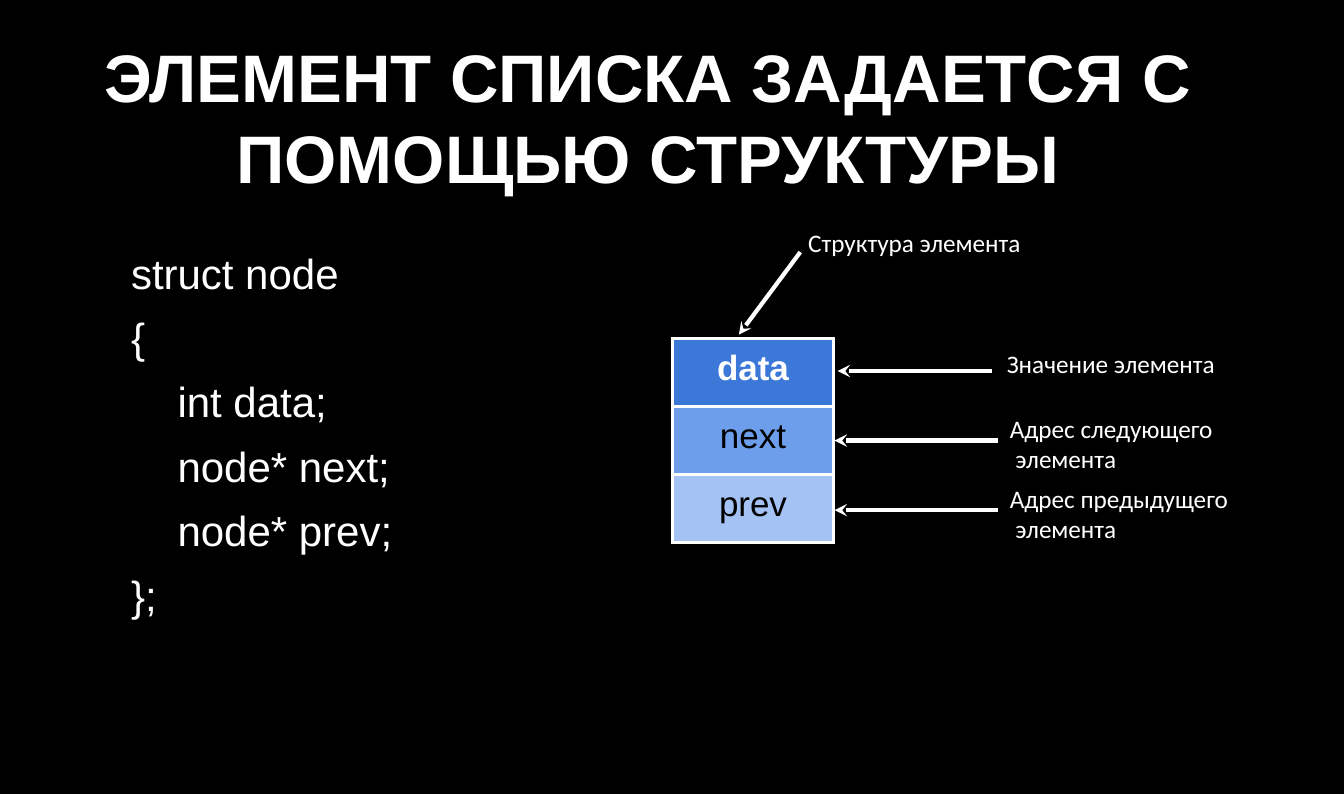
from lxml.etree import SubElement
from pptx import Presentation
from pptx.dml.color import RGBColor
from pptx.enum.shapes import MSO_CONNECTOR
from pptx.enum.text import MSO_ANCHOR, MSO_AUTO_SIZE, PP_ALIGN
from pptx.oxml.ns import qn
from pptx.util import Inches, Pt

WHITE = "FFFFFF"
BLACK = "000000"
TITLE = "ЭЛЕМЕНТ СПИСКА ЗАДАЕТСЯ С ПОМОЩЬЮ СТРУКТУРЫ"
STRUCT_CODE = [
    "struct node",
    "{",
    "    int data;",
    "    node* next;",
    "    node* prev;",
    "};",
]
# field, fill, text colour, bold
FIELDS = [
    ("data", "3C78D8", WHITE, True),
    ("next", "6D9EEB", BLACK, False),
    ("prev", "A4C2F4", BLACK, False),
]
# label lines, label box and arrow ends, measured from the table's top right corner
FIELD_NOTES = [
    (["Значение элемента"], (1.62, 0.05, 2.29, 0.42), 1.57, 0.04),
    (["Адрес следующего", " элемента"], (1.65, 0.69, 2.94, 0.74), 1.63, 0.01),
    (["Адрес предыдущего", " элемента"], (1.65, 1.38, 2.94, 0.74), 1.63, 0.01),
]


def color(hex_string):
    return RGBColor.from_string(hex_string)


def inches(values):
    return [Inches(value) for value in values]


def place(shape, box):
    shape.left, shape.top, shape.width, shape.height = inches(box)


def prepare_frame(frame):
    """Make a text frame wrap, keep its size and start at the top."""
    frame.word_wrap = True
    frame.auto_size = MSO_AUTO_SIZE.NONE
    frame.vertical_anchor = MSO_ANCHOR.TOP


def write_text(frame, lines, size, font="Arial", fill=WHITE, bold=False,
               align=PP_ALIGN.LEFT, gap=0, plain_list=False):
    """Write one paragraph per line; gap is the space between them in points."""
    for index, line in enumerate(lines):
        paragraph = frame.add_paragraph() if index else frame.paragraphs[0]
        paragraph.alignment = align
        paragraph.space_before = Pt(gap if index else 0)
        if plain_list:
            properties = paragraph._p.get_or_add_pPr()
            properties.set("marL", "0")
            properties.set("indent", "0")
            SubElement(properties, qn("a:buNone"))
        run = paragraph.add_run()
        run.text = line
        run.font.name = font
        run.font.size = Pt(size)
        run.font.bold = bold
        run.font.color.rgb = color(fill)


def add_label(slide, lines, box):
    label = slide.shapes.add_textbox(*inches(box))
    prepare_frame(label.text_frame)
    write_text(label.text_frame, lines, 18, font="Calibri")


def add_arrow(slide, start, end):
    arrow = slide.shapes.add_connector(
        MSO_CONNECTOR.STRAIGHT, *inches((*start, *end)))
    arrow.line.color.rgb = color(WHITE)
    arrow.line.width = Pt(3)
    SubElement(arrow.line._get_or_add_ln(), qn("a:tailEnd"), type="stealth")
    SubElement(arrow._element.spPr, qn("a:effectLst"))


def format_cell(cell, fill):
    cell.margin_left = cell.margin_right = Inches(0.1)
    cell.margin_top = cell.margin_bottom = Inches(0.1)
    properties = cell._tc.get_or_add_tcPr()
    for side in ("lnL", "lnR", "lnT", "lnB"):
        border = SubElement(properties, qn(f"a:{side}"), w=str(Pt(2.25)))
        solid = SubElement(border, qn("a:solidFill"))
        SubElement(solid, qn("a:srgbClr"), val=WHITE)
    cell.fill.solid()
    cell.fill.fore_color.rgb = color(fill)


def add_title(slide, box):
    title = slide.shapes.title
    place(title, box)
    prepare_frame(title.text_frame)
    write_text(title.text_frame, [TITLE], 48, bold=True, align=PP_ALIGN.CENTER)


def add_code(slide, box):
    body = slide.placeholders[1]
    place(body, box)
    prepare_frame(body.text_frame)
    write_text(body.text_frame, STRUCT_CODE, 30, gap=10, plain_list=True)


def add_node_table(slide, box):
    table = slide.shapes.add_table(len(FIELDS), 1, *inches(box)).table
    table.first_row = table.horz_banding = False
    for row, (name, fill, text_color, bold) in enumerate(FIELDS):
        cell = table.cell(row, 0)
        format_cell(cell, fill)
        write_text(cell.text_frame, [name], 25, fill=text_color, bold=bold,
                   align=PP_ALIGN.CENTER)


def add_node_diagram(slide, box):
    """Place the node table in the box, with labels and arrows around it."""
    left, top, width, height = box
    right = left + width
    add_node_table(slide, box)
    add_label(slide, ["Структура элемента"], (left + 1.25, top - 1.15, 2.33, 0.42))
    add_arrow(slide, (left + 1.27, top - 0.86), (left + 0.66, top - 0.04))
    for index, (lines, label_box, start, end) in enumerate(FIELD_NOTES):
        label_left, label_top, label_width, label_height = label_box
        add_label(slide, lines,
                  (right + label_left, top + label_top, label_width, label_height))
        y = top + 0.32 + 0.69 * index
        add_arrow(slide, (right + start, y), (right + end, y))


def main():
    presentation = Presentation()
    presentation.slide_width = Inches(40 / 3)
    presentation.slide_height = Inches(63 / 8)
    slide = presentation.slides.add_slide(presentation.slide_layouts[1])
    slide.background.fill.solid()
    slide.background.fill.fore_color.rgb = color(BLACK)
    add_title(slide, (0.4, 0.3, 12.06, 0.85))
    add_code(slide, (1.2, 2.4, 3.98, 4.46))
    add_node_diagram(slide, (6.67, 3.36, 1.6, 2.02))
    presentation.save("out.pptx")


if __name__ == "__main__":
    main()
